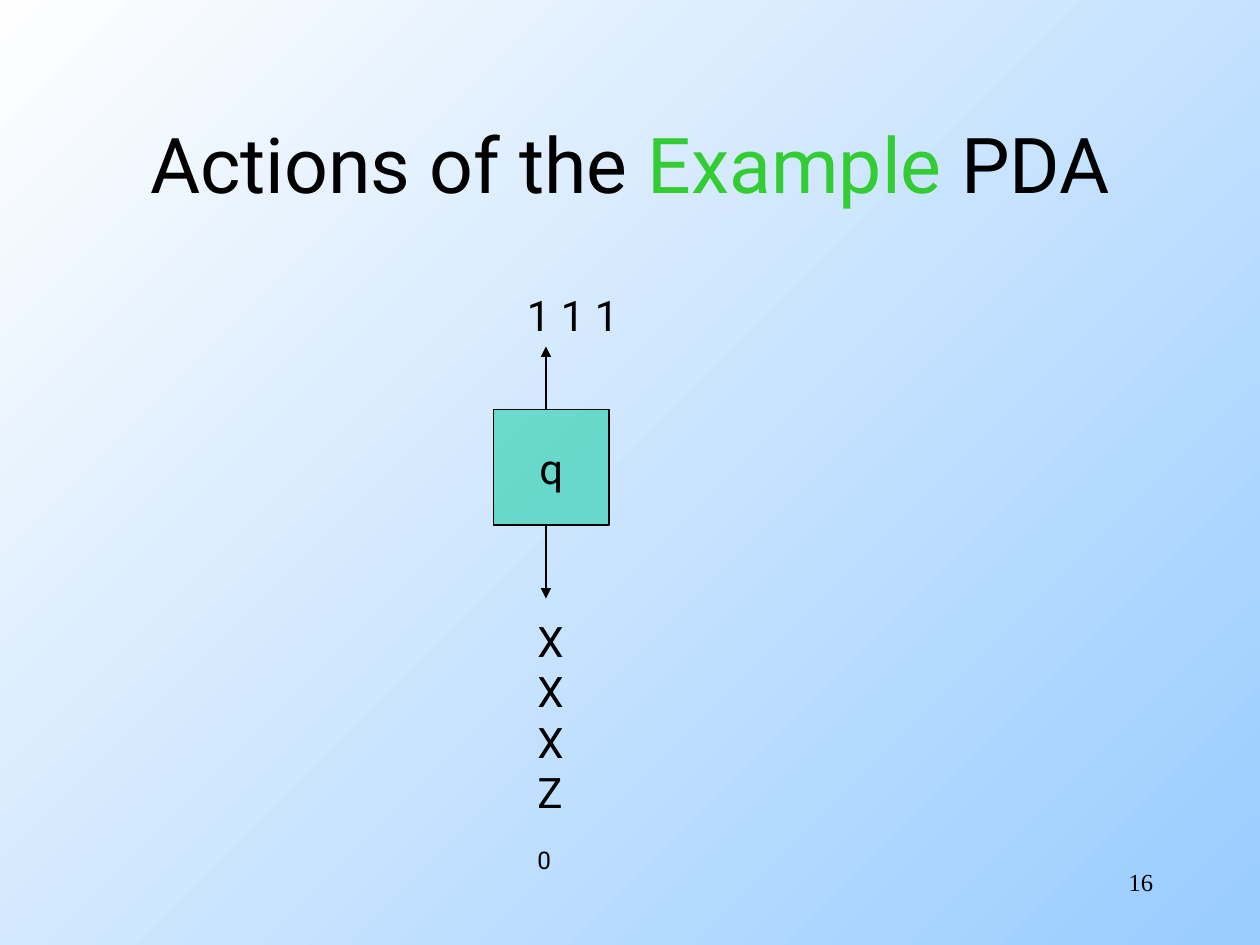
"""Draw the example PDA in state q, with its input above and its stack below."""
from dataclasses import dataclass

from lxml.etree import SubElement as Sub
from pptx import Presentation
from pptx.dml.color import RGBColor as Rgb
from pptx.enum.shapes import MSO_CONNECTOR as Link, MSO_SHAPE as Form
from pptx.enum.text import MSO_ANCHOR as Anchor, PP_ALIGN as Align
from pptx.oxml.ns import qn
from pptx.util import Inches, Pt

COLS, ROWS = 120, 90
CELL = Inches(10) // COLS
HUES = {"ink": "000000", "mark": "33CC33", "state": "00CC99",
        "blue": "99CCFF", "white": "FEFEFE"}
BASE = {"size": Pt(24), "name": "Roboto"}


@dataclass
class Run:
    text: str
    hue: str = "ink"
    sub: bool = False


@dataclass
class Text:
    box: tuple[float, float, float, float]
    lines: list[list[Run]]
    font: dict
    align: Align = Align.LEFT
    anchor: Anchor = Anchor.TOP


@dataclass
class Arrow:
    col: int
    start: int
    end: int


TEXTS = [
    Text((9, 8, 102, 15),
         [[Run("Actions of the "), Run("Example ", "mark"), Run("PDA")]],
         BASE | {"size": Pt(44)}, Align.CENTER, Anchor.MIDDLE),
    Text((49, 27, 11.25, 6), [[Run("1 1 1")]], BASE),
    Text((50, 58, 6, 21), [[Run(c)] for c in "XXX"] + [[Run("Z"), Run("0", sub=True)]], BASE),
    Text((86, 82, 25, 6), [[Run("16")]],
         {"size": Pt(14), "name": "Times New Roman"}, Align.RIGHT),
]
STATE = Text((47, 39, 11, 11), [[Run("q")]], BASE, Align.CENTER, Anchor.MIDDLE)
ARROWS = [Arrow(52, 39, 33), Arrow(52, 50, 57)]


def grid(*cells: float) -> list[int]:
    """Turn grid cells into slide lengths."""
    return [int(n * CELL) for n in cells]


def color(key: str) -> Rgb:
    """Look up a named colour."""
    return Rgb.from_string(HUES[key])


def write(shape, item: Text) -> None:
    """Fill a shape with the item's runs."""
    frame = shape.text_frame
    frame.word_wrap, frame.vertical_anchor = True, item.anchor
    for i, line in enumerate(item.lines):
        para = frame.add_paragraph() if i else frame.paragraphs[0]
        para.alignment = item.align
        for part in line:
            run = para.add_run()
            run.text = part.text
            for key, value in item.font.items():
                setattr(run.font, key, value)
            run.font.color.rgb = color(part.hue)
            if part.sub:
                run.font._element.set("baseline", "-25000")


def border(shape) -> None:
    """Give a shape or connector a thin dark line."""
    shape.line.color.rgb = color("ink")
    shape.line.width = Pt(0.75)


def state(slide, item: Text) -> None:
    """Draw the half-clear state box."""
    shape = slide.shapes.add_shape(Form.RECTANGLE, *grid(*item.box))
    shape.shadow.inherit = False
    shape.fill.solid()
    shape.fill.fore_color.rgb = color("state")
    tint = shape._element.spPr.find(qn("a:solidFill"))[0]
    Sub(tint, qn("a:alpha"), val="50000")
    border(shape)
    write(shape, item)


def arrow(slide, item: Arrow) -> None:
    """Draw an upright arrow."""
    ends = grid(item.col, item.start, item.col, item.end)
    link = slide.shapes.add_connector(Link.STRAIGHT, *ends)
    border(link)
    Sub(link.line._get_or_add_ln(), qn("a:tailEnd"), type="triangle")
    Sub(link._element.spPr, qn("a:effectLst"))


def paint(slide) -> None:
    """Shade the slide from corner to corner."""
    fill = slide.background.fill
    fill.gradient()
    fill.gradient_angle = 135
    for stop, place, key in zip(fill.gradient_stops, (0, 1), ("blue", "white")):
        stop.position, stop.color.rgb = place, color(key)


def main() -> None:
    """Build and save the slide."""
    deck = Presentation()
    deck.slide_width, deck.slide_height = grid(COLS, ROWS)
    slide = deck.slides.add_slide(deck.slide_layouts[6])
    paint(slide)
    state(slide, STATE)
    for item in TEXTS:
        write(slide.shapes.add_textbox(*grid(*item.box)), item)
    for item in ARROWS:
        arrow(slide, item)
    deck.save("out.pptx")


if __name__ == "__main__":
    main()
